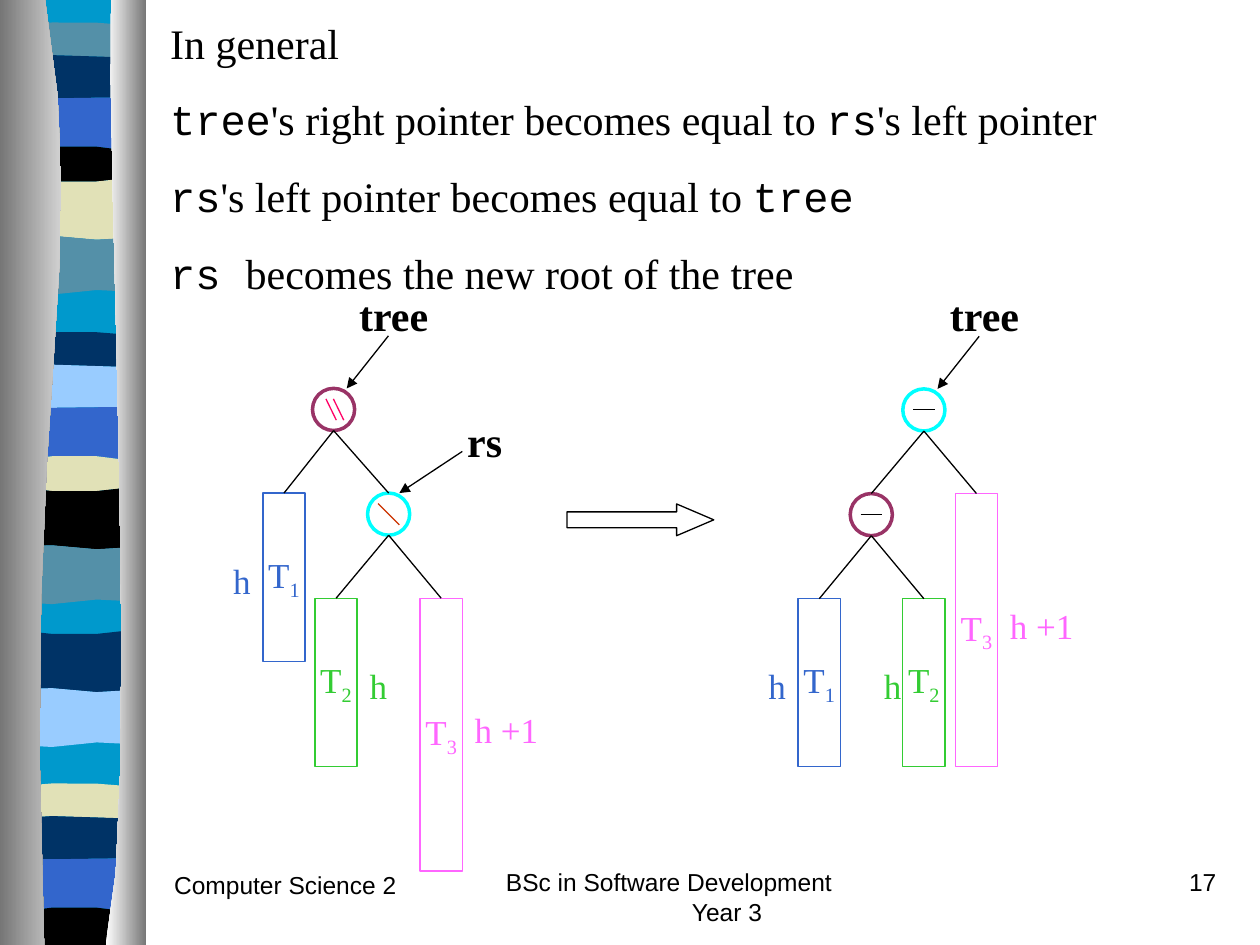
from lxml import etree
from pptx import Presentation
from pptx import util as u
from pptx.dml.color import RGBColor
from pptx.enum import shapes, text
from pptx.oxml import ns

BLACK = RGBColor(0, 0, 0)
CYAN = RGBColor(0x00, 0x99, 0xCC)
STEEL = RGBColor(0x54, 0x90, 0xA8)
NAVY = RGBColor(0x00, 0x33, 0x66)
BLUE = RGBColor(0x33, 0x66, 0xCC)
SAND = RGBColor(0xE1, 0xE1, 0xB7)
SKY = RGBColor(0x99, 0xCC, 0xFF)
GREY = RGBColor(0x76, 0x76, 0x76)
PALE = RGBColor(0xD2, 0xD2, 0xD2)
WHITE = RGBColor(0xFF, 0xFF, 0xFF)
AQUA = RGBColor(0x00, 0xFF, 0xFF)
PLUM = RGBColor(0x99, 0x33, 0x66)
GREEN = RGBColor(0x33, 0xCC, 0x33)
PINK = RGBColor(0xFF, 0x66, 0xFF)
RED = RGBColor(0xFF, 0x00, 0x66)
RUST = RGBColor(0xCC, 0x33, 0x00)

SERIF, MONO, SANS = "Times New Roman", "Courier New", "Arial"
WIDTH, HEIGHT = 25.4, 19.05
NODE = 0.85
SHORT, LONG = 3.39, 5.5

WAVES = [
    (0.53, 0.41, 0.43, 0.53), (1.17, 1.04, 1.17, 1.17), (1.96, 2.01, 1.96, 1.96),
    (3.07, 2.9, 2.9, 3.07), (3.56, 3.71, 3.71, 3.56), (4.78, 4.62, 4.98, 4.78),
    (5.89, 6.1, 5.69, 5.89),
]
STRIPE_RUNS = [
    (0, 0, [STEEL, NAVY, BLUE, BLACK, SAND, STEEL]),
    (6.24, 0, [NAVY, SKY, BLUE, SAND, BLACK, STEEL]),
    (9.12, 4, [NAVY, SKY]),
    (15.34, 0, [SAND, NAVY, BLUE, BLACK]),
]


def sample_curve(points, steps):
    curve = []
    for step in range(steps + 1):
        t = step / steps
        weights = ((1 - t) ** 3, 3 * t * (1 - t) ** 2, 3 * t * t * (1 - t), t ** 3)
        curve.append(tuple(sum(w * p[axis] for w, p in zip(weights, points)) for axis in (0, 1)))
    return curve


def add_outline(slide, left, top, points):
    corners = [(u.Cm(left + x), u.Cm(top + y)) for x, y in points]
    builder = slide.shapes.build_freeform(*corners[0])
    builder.add_line_segments(corners[1:])
    shape = builder.convert_to_shape()
    shape.shadow.inherit = False
    shape.line.fill.background()
    return shape


def add_area(slide, left, top, points, color):
    fill = add_outline(slide, left, top, points).fill
    fill.solid()
    fill.fore_color.rgb = color


def add_curtain(slide, left, top, curve, outer, colors):
    points = sample_curve(curve, 8) + [(outer, HEIGHT), (outer, 0)]
    fill = add_outline(slide, left, top, points).fill
    fill.gradient()
    fill.gradient_angle = 0
    for stop, color in zip(fill.gradient_stops, colors):
        stop.color.rgb = color


def wave_edge(offset, wave):
    columns = (0.15, 1.05, 1.95, 2.85)
    return sample_curve([(x, offset + y) for x, y in zip(columns, wave)], 3)


def add_ribbon(slide, left, top):
    floor = [(0.15, HEIGHT), (2.85, HEIGHT)]
    add_area(slide, left, top, [(0.15, 0), (2.85, 0)] + floor[::-1], CYAN)
    for offset, first, colors in STRIPE_RUNS:
        edges = [wave_edge(offset, wave) for wave in WAVES[first:]]
        for index, color in enumerate(colors):
            bottom = floor if color == BLACK and offset > 15 else edges[index + 1]
            add_area(slide, left, top, edges[index] + bottom[::-1], color)
    add_curtain(slide, left, top, [(0.91, 0), (1.85, 5.5), (0.43, 7.5), (0.89, HEIGHT)], 0, (GREY, PALE))
    add_curtain(slide, left, top, [(2.24, 0), (2.13, 3.2), (2.84, 16.4), (2.13, HEIGHT)], 2.95, (WHITE, GREY))


def add_runs(paragraph, runs, size, color=BLACK, bold=False):
    for content, font_name in runs:
        run = paragraph.add_run()
        run.text = content
        run.font.name, run.font.size = font_name, u.Pt(size)
        run.font.bold = bold
        run.font.color.rgb = color


def add_text(slide, left, top, width, height, lines, size, color=BLACK, bold=False, before=0):
    box = slide.shapes.add_textbox(u.Cm(left), u.Cm(top), u.Cm(width), u.Cm(height))
    frame = box.text_frame
    frame.word_wrap = True
    for index, runs in enumerate(lines):
        paragraph = frame.add_paragraph() if index else frame.paragraphs[0]
        paragraph.space_before = u.Pt(before)
        add_runs(paragraph, runs, size, color, bold)
    return frame


def add_line(slide, x1, y1, x2, y2, color=BLACK, arrow=False):
    line = slide.shapes.add_connector(
        shapes.MSO_CONNECTOR.STRAIGHT, u.Cm(x1), u.Cm(y1), u.Cm(x2), u.Cm(y2))
    line.line.color.rgb, line.line.width = color, u.Pt(0.75)
    if arrow:
        etree.SubElement(line.line._get_or_add_ln(), ns.qn("a:tailEnd"), type="triangle")
    etree.SubElement(line._element.spPr, ns.qn("a:effectLst"))
    return line


def add_preset(slide, kind, left, top, width, height, color, weight=0.75):
    shape = slide.shapes.add_shape(kind, u.Cm(left), u.Cm(top), u.Cm(width), u.Cm(height))
    shape.shadow.inherit = False
    shape.fill.background()
    shape.line.color.rgb, shape.line.width = color, u.Pt(weight)
    return shape


def add_node(slide, left, top, color, marks, mark_color):
    add_preset(slide, shapes.MSO_SHAPE.OVAL, left, top, NODE, NODE, color, 2)
    for x1, y1, x2, y2 in marks:
        add_line(slide, left + x1, top + y1, left + x2, top + y2, mark_color)


def add_subtree(slide, left, top, height, number, color):
    shape = add_preset(slide, shapes.MSO_SHAPE.RECTANGLE, left, top, NODE, height, color)
    frame = shape.text_frame
    frame.word_wrap = False
    frame.vertical_anchor = text.MSO_ANCHOR.MIDDLE
    paragraph = frame.paragraphs[0]
    paragraph.alignment = text.PP_ALIGN.CENTER
    add_runs(paragraph, [("T", SERIF), (number, SERIF)], 20, color)
    paragraph.runs[1].font._element.set("baseline", "-25000")
    return shape


def add_branch(slide, parent_left, parent_top, subtree):
    line = add_line(slide, parent_left + NODE / 2, parent_top + NODE, 0, 0)
    line.end_connect(subtree, 0)


def add_tree(slide, left, top, root, child, subtrees, heights, pointer_x):
    nodes = []
    for x, y, color, marks, mark_color in (root, child):
        add_node(slide, left + x, top + y, color, marks, mark_color)
        nodes.append((left + x, top + y))
    (root_x, root_y), (child_x, child_y) = nodes
    add_line(slide, root_x + NODE / 2, root_y + NODE, child_x + NODE / 2, child_y)
    for x, y, height, number, color, parent in subtrees:
        subtree = add_subtree(slide, left + x, top + y, height, number, color)
        add_branch(slide, *nodes[parent], subtree)
    for x, y, label, color in heights:
        add_text(slide, left + x, top + y, 1.9, 1.1, [[(label, SERIF)]], 20, color)
    x = left + pointer_x
    add_text(slide, x, top, 2.12, 1.27, [[("tree", SERIF)]], 24, bold=True)
    add_line(slide, x + 0.84, top + 1.06, x, top + 2.12, arrow=True)


def add_unbalanced_tree(slide, left, top):
    add_tree(
        slide, left, top,
        (1.85, 2.12, PLUM, [(0.27, 0.21, 0.48, 0.64), (0.42, 0.21, 0.63, 0.64)], RED),
        (2.96, 4.23, AQUA, [(0.21, 0.21, 0.64, 0.64)], RUST),
        [(0.85, 4.23, SHORT, "1", BLUE, 0), (1.9, 6.35, SHORT, "2", GREEN, 1),
         (4.02, 6.35, LONG, "3", PINK, 1)],
        [(0, 5.44, "h", BLUE), (2.75, 7.56, "h", GREEN), (4.87, 8.45, "h +1", PINK)], 2.54)
    add_text(slide, left + 4.72, top + 2.54, 1.7, 1.27, [[("rs", SERIF)]], 24, bold=True)
    add_line(slide, left + 4.87, top + 3.39, left + 3.6, top + 4.23, arrow=True)


def add_balanced_tree(slide, left, top):
    level = [(0.21, 0.42, 0.64, 0.42)]
    add_tree(
        slide, left, top,
        (2.96, 2.12, AQUA, level, BLACK), (1.9, 4.23, PLUM, level, BLACK),
        [(0.85, 6.35, SHORT, "1", BLUE, 1), (2.96, 6.35, SHORT, "2", GREEN, 1),
         (4.02, 4.23, LONG, "3", PINK, 0)],
        [(0, 7.56, "h", BLUE), (2.33, 7.56, "h", GREEN), (4.87, 6.35, "h +1", PINK)], 3.66)


def add_rules(slide, left, top):
    add_text(slide, left, top, 20.53, 5.93, [
        [("In general", SERIF)],
        [("tree", MONO), ("'s right pointer becomes equal to ", SERIF), ("rs", MONO),
         ("'s left pointer", SERIF)],
        [("rs", MONO), ("'s left pointer becomes equal to ", SERIF), ("tree", MONO)],
        [("rs ", MONO), ("becomes the new root of the tree", SERIF)],
    ], 24, before=15)


def add_footer(slide, left, top):
    add_text(slide, left + 0.01, top + 0.05, 5.29, 1.27, [[("Computer Science 2", SANS)]], 14)
    course = add_text(slide, left + 6.7, top, 8.04, 1.27,
                      [[("BSc in Software Development Year 3", SANS)]], 14)
    properties = course.paragraphs[0]._p.get_or_add_pPr()
    properties.set("marL", str(u.Cm(3.75)))
    properties.set("indent", str(-u.Cm(3.75)))
    number = add_text(slide, left + 16.23, top, 5.29, 1.27, [[("17", SANS)]], 14)
    number.paragraphs[0].alignment = text.PP_ALIGN.RIGHT


def main():
    presentation = Presentation()
    presentation.slide_width, presentation.slide_height = u.Cm(WIDTH), u.Cm(HEIGHT)
    slide = presentation.slides.add_slide(presentation.slide_layouts[6])
    add_ribbon(slide, 0, 0)
    arrow = add_preset(slide, shapes.MSO_SHAPE.RIGHT_ARROW, 11.43, 10.16, 2.96, 0.64, BLACK)
    arrow.adjustments[1] = 1.17
    add_balanced_tree(slide, 15.24, 5.72)
    add_unbalanced_tree(slide, 4.45, 5.71)
    add_rules(slide, 3.18, 0.22)
    add_footer(slide, 3.25, 17.36)
    presentation.save("out.pptx")


if __name__ == "__main__":
    main()
